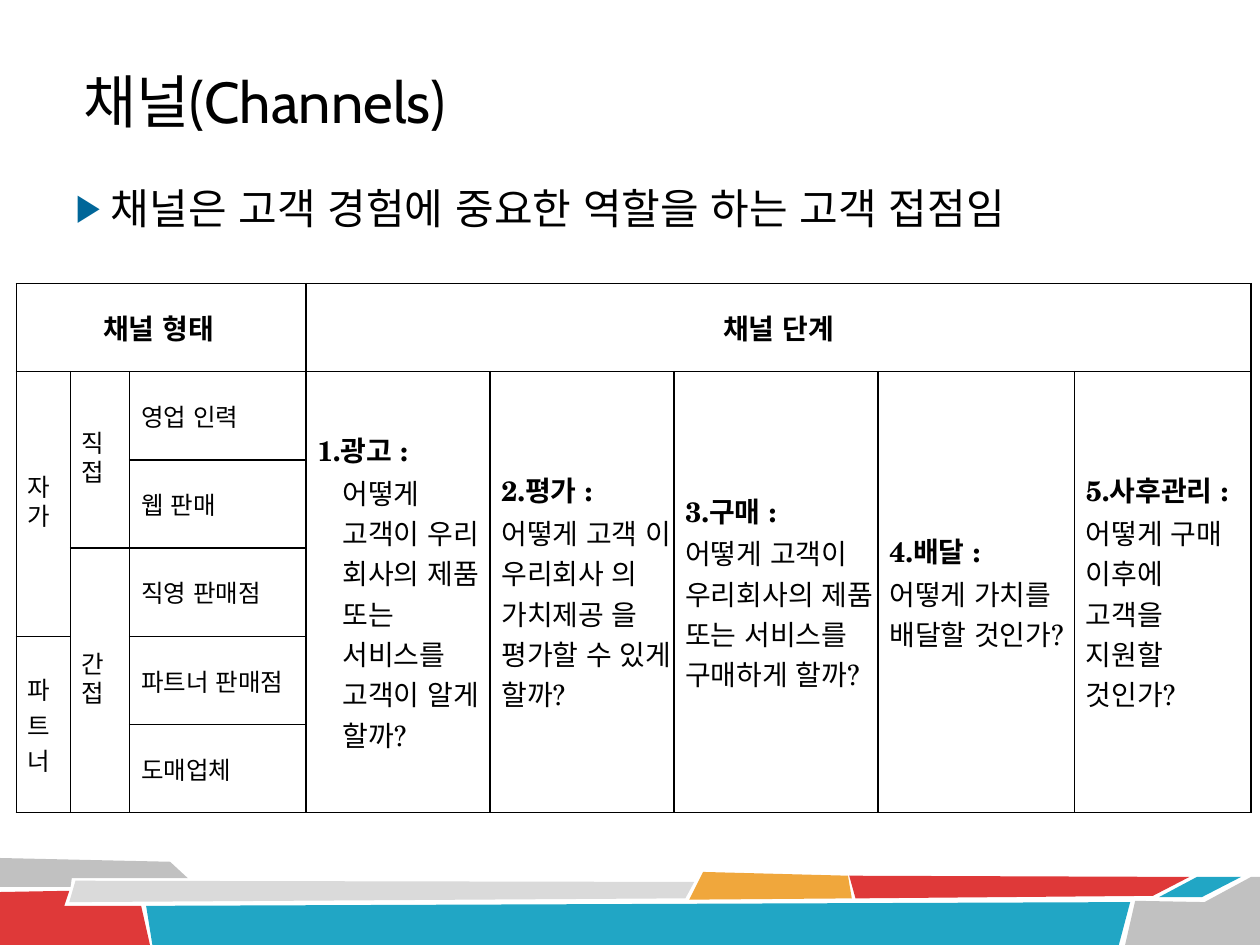
from lxml import etree
from pptx import Presentation
from pptx.dml.color import RGBColor
from pptx.enum.lang import MSO_LANGUAGE_ID
from pptx.enum.text import MSO_ANCHOR, PP_ALIGN
from pptx.oxml.ns import qn
from pptx.util import Inches, Pt

MIDDLE = MSO_ANCHOR.MIDDLE
LEFT, CENTER = PP_ALIGN.LEFT, PP_ALIGN.CENTER
KOREAN = MSO_LANGUAGE_ID.KOREAN
SANS, SERIF, LATIN = "Noto Sans CJK KR", "TeX Gyre Schola", "Cabin"
COLORS = {"text": "000000", "bullet": "006699", "gray": "C1C1C1", "light": "DADADA",
          "red": "DF3939", "blue": "21A6C5", "orange": "F0A73C"}


def add_run(paragraph, text, size, font=SANS, bold=False):
    run = paragraph.add_run()
    run.text = text
    run.font.size = Pt(size)
    run.font.bold = bold
    run.font.color.rgb = RGBColor.from_string(COLORS["text"])
    run.font.name = font
    run.font.language_id = KOREAN
    etree.SubElement(run.font._element, qn("a:ea"), typeface=font)


def set_indent(paragraph, left, first=0):
    props = paragraph._p.get_or_add_pPr()
    props.set("marL", str(Inches(left)))
    props.set("indent", str(Inches(first)))
    return props


prs = Presentation()
prs.slide_width, prs.slide_height = Inches(10), Inches(7.5)
slide = prs.slides.add_slide(prs.slide_layouts[1])

# Footer ribbon
ribbon = [
    ("gray", [(0, 6.81), (1.35, 6.84), (1.49, 6.97), (0.57, 6.97), (0.56, 7.04), (0, 7.04)]),
    ("red", [(0, 7.08), (0.55, 7.07), (0.51, 7.19), (1.12, 7.19), (1.19, 7.5), (0, 7.5)]),
    ("light", [(0.6, 6.99), (5.51, 7), (5.44, 7.13), (0.55, 7.16)]),
    ("blue", [(1.16, 7.19), (8.97, 7.16), (8.88, 7.5), (1.21, 7.5)]),
    ("orange", [(5.58, 6.92), (6.73, 6.95), (6.76, 7.13), (5.47, 7.14)]),
    ("red", [(6.74, 6.95), (9.44, 6.96), (9.15, 7.11), (6.79, 7.13)]),
    ("blue", [(9.5, 6.96), (9.85, 6.96), (9.54, 7.12), (9.2, 7.12)]),
    ("gray", [(9.01, 7.15), (9.56, 7.16), (9.93, 6.96), (10, 6.96), (10, 7.5), (8.93, 7.5)]),
]
for color, corners in ribbon:
    points = [(Inches(x), Inches(y)) for x, y in corners]
    outline = slide.shapes.build_freeform(*points[0])
    outline.add_line_segments(points[1:], close=True)
    band = outline.convert_to_shape()
    band.fill.solid()
    band.fill.fore_color.rgb = RGBColor.from_string(COLORS[color])
    band.line.fill.background()
    band.shadow.inherit = False

# Title
title = slide.shapes.title
title.left, title.top, title.width, title.height = map(Inches, (0.51, 0.12, 9.52, 1.25))
frame = title.text_frame
frame.margin_left = frame.margin_right = frame.margin_top = frame.margin_bottom = 0
frame.vertical_anchor = MIDDLE
heading = frame.paragraphs[0]
heading.alignment = LEFT
heading.line_spacing = Pt(47.6)
set_indent(heading, 0.15)
add_run(heading, "채널", 33)
add_run(heading, "(Channels)", 33, LATIN)

# Bulleted statement
body = slide.placeholders[1]
body.left, body.top, body.width, body.height = map(Inches, (0.5, 1.4, 9, 5.03))
statement = body.text_frame.paragraphs[0]
statement.space_before = Pt(5)
props = set_indent(statement, 0.28, -0.28)
bullet_color = etree.SubElement(props, qn("a:buClr"))
etree.SubElement(bullet_color, qn("a:srgbClr"), val=COLORS["bullet"])
etree.SubElement(props, qn("a:buSzPct"), val="90000")
etree.SubElement(props, qn("a:buChar"), char="▶")
add_run(statement, "채널은 고객 경험에 중요한 역할을 하는 고객 접점임", 24)

# Channel table
widths = [0.43, 0.47, 1.4, 1.46, 1.46, 1.62, 1.56, 1.4]
row_height, row_count = 0.7, 6
table = slide.shapes.add_table(row_count, len(widths), Inches(0.13), Inches(2.25),
                               Inches(sum(widths)), Inches(row_height * row_count)).table
table.first_row = table.horz_banding = False
for column, width in zip(table.columns, widths):
    column.width = Inches(width)
for row in table.rows:
    row.height = Inches(row_height)

for cell in table.iter_cells():
    cell.margin_left = cell.margin_right = cell.margin_top = cell.margin_bottom = 0
    cell.vertical_anchor = MIDDLE
    cell_props = cell._tc.get_or_add_tcPr()
    for side in ("lnL", "lnR", "lnT", "lnB"):
        border = etree.SubElement(cell_props, qn("a:" + side), w=str(Pt(1)))
        fill = etree.SubElement(border, qn("a:solidFill"))
        etree.SubElement(fill, qn("a:srgbClr"), val=COLORS["text"])
    cell.fill.background()

# Header and channel types: row, column, rows spanned, columns spanned, text
labels = [
    (0, 0, 1, 3, "채널 형태"), (0, 3, 1, 5, "채널 단계"),
    (1, 0, 3, 1, "자 가"), (4, 0, 2, 1, "파 트 너"),
    (1, 1, 2, 1, "직 접"), (3, 1, 3, 1, "간 접"),
    (1, 2, 1, 1, "영업 인력"), (2, 2, 1, 1, "웹 판매"), (3, 2, 1, 1, "직영 판매점"),
    (4, 2, 1, 1, "파트너 판매점"), (5, 2, 1, 1, "도매업체"),
]
for row, col, row_span, col_span, text in labels:
    cell = table.cell(row, col)
    if row_span * col_span > 1:
        cell.merge(table.cell(row + row_span - 1, col + col_span - 1))
    label = cell.text_frame.paragraphs[0]
    is_header = row == 0
    if is_header and col > 0:
        label.alignment = CENTER
    else:
        set_indent(label, 0.69 if is_header else 0.09)
    if text in ("자 가", "직 접", "간 접"):
        label.line_spacing = Pt(16.6)
    add_run(label, text, 16 if is_header else 14, bold=is_header)

# Channel phases
phases = [
    ("광고", "어떻게 고객이 우리 회사의 제품 또는 서비스를 고객이 알게 할까"),
    ("평가", "어떻게 고객 이 우리회사 의 가치제공 을 평가할 수 있게 할까"),
    ("구매", "어떻게 고객이 우리회사의 제품 또는 서비스를 구매하게 할까"),
    ("배달", "어떻게 가치를 배달할 것인가"),
    ("사후관리", "어떻게 구매\n이후에\n고객을\n지원할\n것인가"),
]
for number, (phase, question) in enumerate(phases, 1):
    col = number + 2
    cell = table.cell(1, col)
    cell.merge(table.cell(row_count - 1, col))
    step = cell.text_frame.paragraphs[0]
    if number == 1:
        set_indent(step, 0.29, -0.2)
    else:
        set_indent(step, 0.09)
    # Spacing between Korean and Latin runs is added by the renderer
    add_run(step, f"{number}.", 16, SERIF, True)
    add_run(step, f"{phase} ", 16, SANS, True)
    add_run(step, ":", 16, SERIF, True)
    for line in question.split("\n"):
        step.add_line_break()
        add_run(step, line, 16)
    add_run(step, "?", 16, SERIF)

prs.save("out.pptx")
